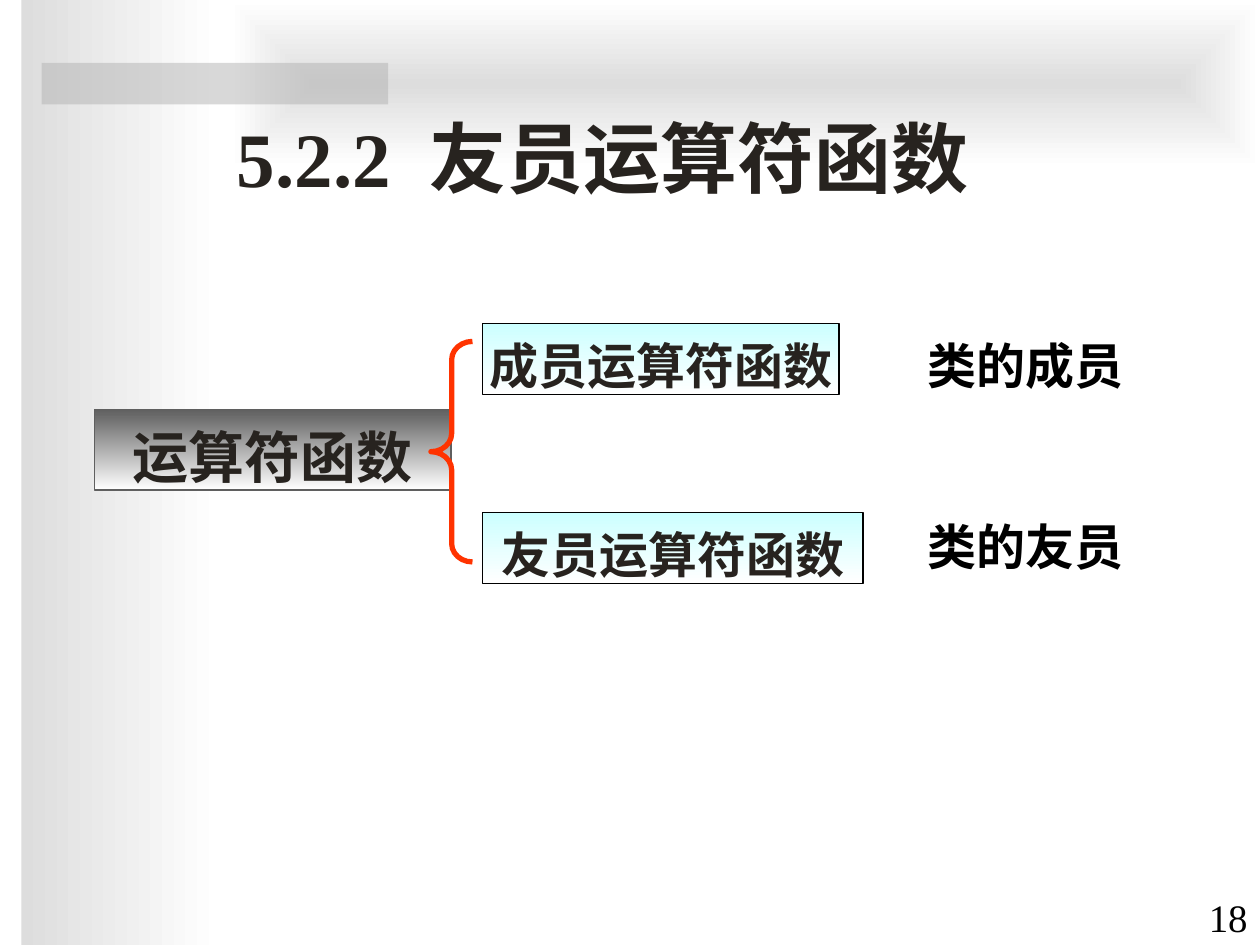
from lxml.etree import SubElement
from pptx import Presentation
from pptx.dml.color import RGBColor
from pptx.enum.shapes import MSO_SHAPE
from pptx.enum.text import MSO_ANCHOR, PP_ALIGN
from pptx.oxml.ns import qn
from pptx.util import Inches, Pt

SERIF = "Times New Roman"
SANS = "Noto Sans CJK SC"
INK = "27231F"

presentation = Presentation()
presentation.slide_width, presentation.slide_height = Inches(10), Inches(7.5)
slide = presentation.slides.add_slide(presentation.slide_layouts[5])
shapes = slide.shapes


def add_box(left, top, width, height, start, end=None, angle=0, line=None):
    """Rectangle with a plain fill, or a gradient when an end colour is given."""
    shape = shapes.add_shape(MSO_SHAPE.RECTANGLE, Inches(left), Inches(top),
                             Inches(width), Inches(height))
    shape.shadow.inherit = False
    if end:
        shape.fill.gradient()
        shape.fill.gradient_angle = angle
        for stop, color, position in zip(shape.fill.gradient_stops, (start, end), (0, 1)):
            stop.color.rgb = RGBColor.from_string(color)
            stop.position = position
    else:
        shape.fill.solid()
        shape.fill.fore_color.rgb = RGBColor.from_string(start)
    if line:
        shape.line.color.rgb = RGBColor.from_string(line)
        shape.line.width = Pt(0.75)
    else:
        shape.line.fill.background()
    return shape


def write(shape, runs, size, font, color, bold=True, align=PP_ALIGN.LEFT,
          anchor=MSO_ANCHOR.MIDDLE, inset=(0, 0), spacing=1.2):
    frame = shape.text_frame
    frame.word_wrap = True
    frame.vertical_anchor = anchor
    frame.margin_left = frame.margin_right = Inches(inset[0])
    frame.margin_top = frame.margin_bottom = Inches(inset[1])
    paragraph = frame.paragraphs[0]
    paragraph.alignment = align
    paragraph.line_spacing = spacing
    for text in runs:
        run = paragraph.add_run()
        run.text = text
        run.font.size, run.font.bold, run.font.name = Pt(size), bold, font
        run.font.color.rgb = RGBColor.from_string(color)
        SubElement(run._r.get_or_add_rPr(), qn("a:ea"), typeface=SANS)


# Background bands
add_box(0.17, 0, 1.58, 7.5, "DDDDDD", "FFFFFF")
top_band = add_box(1.83, 0, 8.17, 1.33, "DDDDDD", "FFFFFF")
gradient = top_band._element.spPr.find(qn("a:gradFill"))
gradient.remove(gradient.find(qn("a:lin")))
rect_path = SubElement(gradient, qn("a:path"), path="rect")
SubElement(rect_path, qn("a:fillToRect"), l="50000", t="50000", r="50000", b="50000")
accent_bar = add_box(0.33, 0.5, 2.75, 0.33, "B2B2B2")
accent_color = accent_bar._element.spPr.find(qn("a:solidFill"))[0]
SubElement(accent_color, qn("a:alpha"), val="50000")

# Slide number
number = shapes.add_textbox(Inches(9), Inches(7.01), Inches(1), Inches(0.5))
write(number, ["18"], 22.2, SERIF, "000000", bold=False, align=PP_ALIGN.RIGHT,
      anchor=MSO_ANCHOR.BOTTOM, inset=(0.1, 0.05), spacing=1)

# Title, in front of the bands, with a widened space after the section number
title = shapes.title
title.left, title.top, title.width, title.height = map(Inches, (1.78, 0.83, 7, 0.83))
write(title, ["5.2.2", " ", "友员运算符函数"], 44, SERIF, INK,
      anchor=MSO_ANCHOR.BOTTOM, inset=(0.1, 0.05), spacing=1)
title.text_frame.paragraphs[0].runs[1]._r.get_or_add_rPr().set("spc", "1100")
shapes._spTree.append(title._element)

# Two kinds of operator function, each with its note
branches = [
    ("成员运算符函数", 2.57, 2.83, "类的成员", 2.57, 2.5),
    ("友员运算符函数", 4.07, 3.02, "类的友员", 4.01, 2.08),
]
for kind, top, width, note, note_top, note_width in branches:
    box = add_box(3.83, top, width, 0.56, "CCFFFF", "FFFFFF", 270, "000000")
    write(box, [kind], 28, SANS, INK, align=PP_ALIGN.CENTER)
    note_box = shapes.add_textbox(Inches(7.36), Inches(note_top),
                                  Inches(note_width), Inches(0.56))
    write(note_box, [note], 28, SERIF, "000000")

# Root concept
root = add_box(0.75, 3.25, 2.83, 0.64, "5F5F5F", "FFFFFF", 270, "5F5F5F")
write(root, ["运算符函数"], 32, SANS, INK, align=PP_ALIGN.CENTER)

# Brace from the root to its branches
brace = shapes.add_shape(MSO_SHAPE.LEFT_BRACE, Inches(3.42), Inches(2.71),
                         Inches(0.33), Inches(1.75))
brace.shadow.inherit = False
brace.adjustments[0] = 0.44
brace.fill.background()
brace.line.color.rgb = RGBColor.from_string("FF3300")
brace.line.width = Pt(3)

presentation.save("out.pptx")
